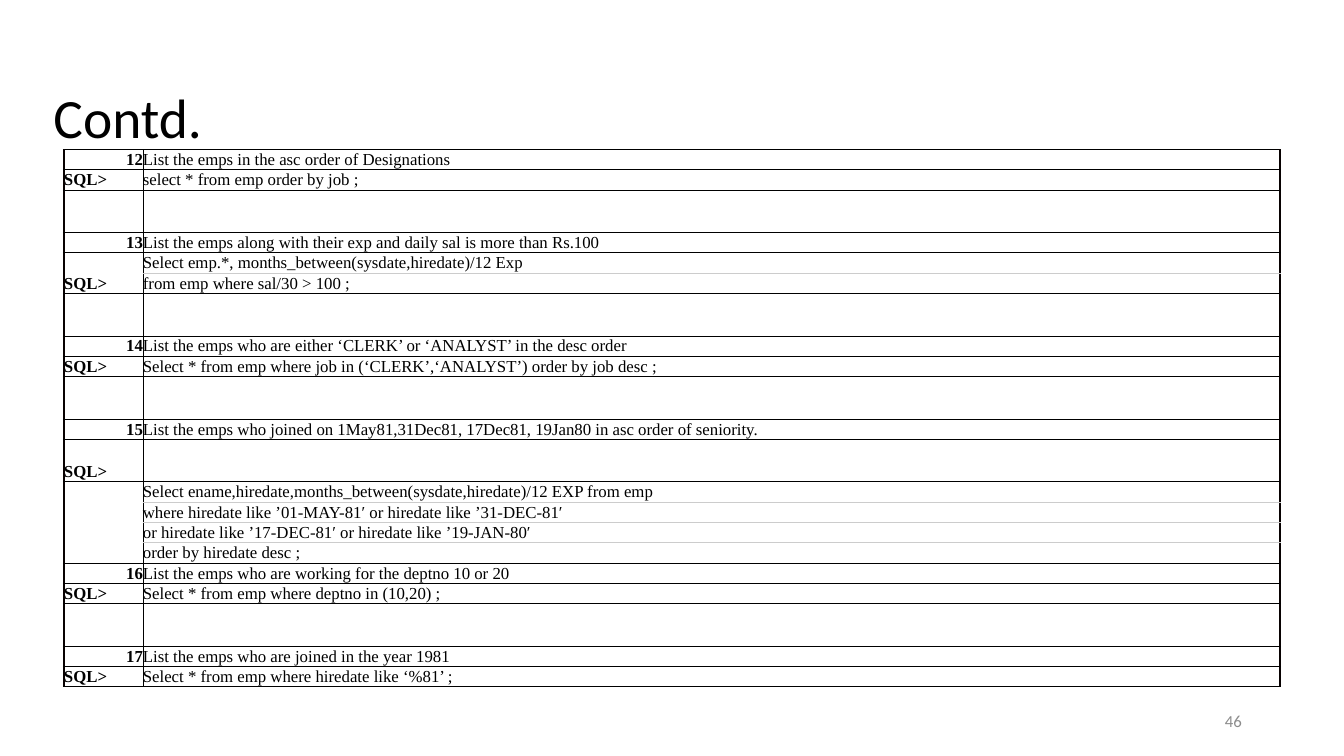
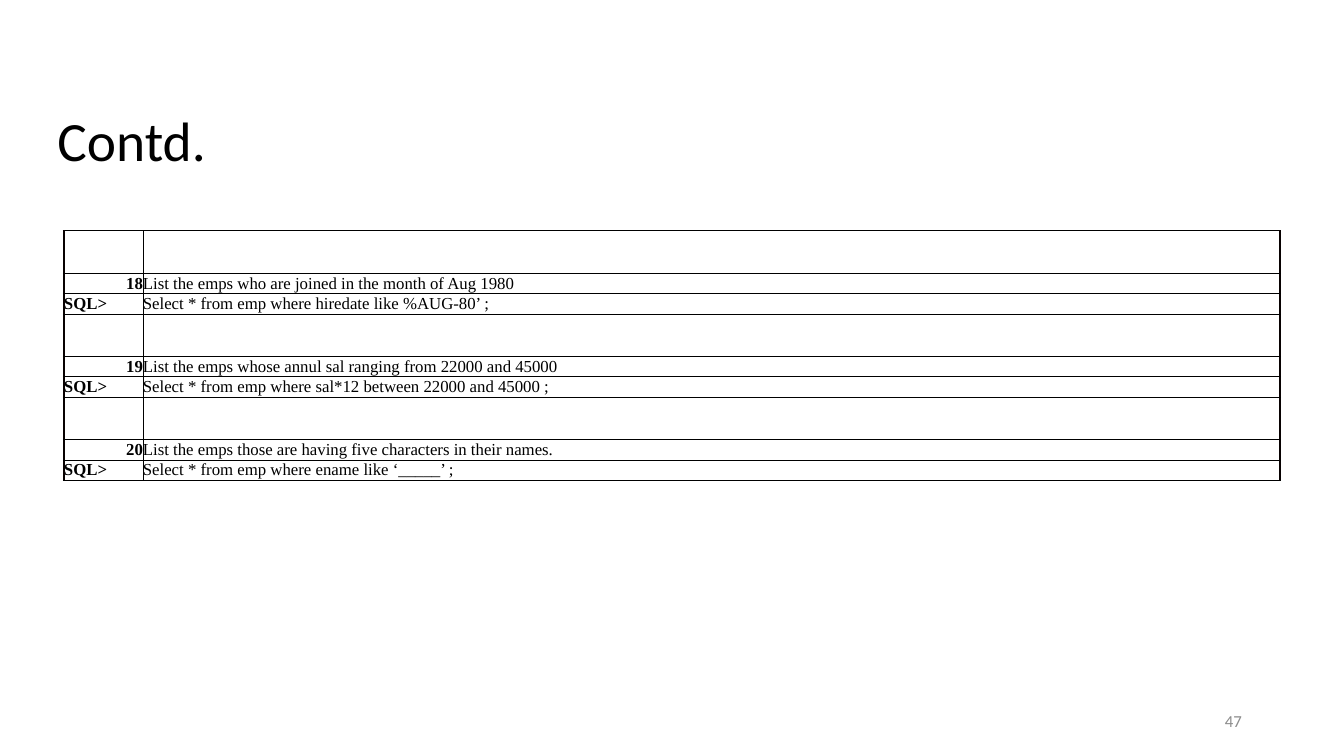
from dataclasses import dataclass

from lxml.etree import SubElement
from pptx import Presentation
from pptx.dml.color import RGBColor as RGB
from pptx.enum.text import MSO_ANCHOR as ANCHOR, MSO_AUTO_SIZE as AUTO, PP_ALIGN as ALIGN
from pptx.oxml.ns import qn
from pptx.util import Pt


@dataclass(frozen=True)
class Theme:
    ink: str = "000000"
    edge: str = "080101"
    faint: str = "CCCCCC"
    muted: str = "8C8C8C"
    heading: str = "Calibri"
    body: str = "Times New Roman"
    title_size: float = 39.6
    text_size: float = 12
    thin: float = 0.6
    thick: float = 1.8
    line_row: float = 14.5
    gap_row: float = 30.4


T = Theme()
TITLE_ONLY = 5
LABEL_W, TEXT_W = 56.4, 812.2
NUMBER_BOX = (678.2, 500.4, 216, 28.8)

# Each block is a label and the lines beside it; GAP is an empty spacer row
GAP = ("", [""])
SLIDES = [
    {"title_box": (31, 61.2, 828, 49.7), "table_at": (45.7, 106.7), "number": 46, "blocks": [
        ("12", ["List the emps in the asc order of Designations"]),
        ("SQL>", ["select * from emp order by job ;"]),
        GAP,
        ("13", ["List the emps along with their exp and daily sal is more than Rs.100"]),
        ("SQL>", ["Select emp.*, months_between(sysdate,hiredate)/12 Exp",
                  "from emp where sal/30 > 100 ;"]),
        GAP,
        ("14", ["List the emps who are either ‘CLERK’ or ‘ANALYST’ in the desc order"]),
        ("SQL>", ["Select * from emp where job in (‘CLERK’,‘ANALYST’) order by job desc ;"]),
        GAP,
        ("15", ["List the emps who joined on 1May81,31Dec81, 17Dec81, 19Jan80 "
                "in asc order of seniority."]),
        ("SQL>", [""]),
        ("", ["Select ename,hiredate,months_between(sysdate,hiredate)/12 EXP from emp",
              "where hiredate like ’01-MAY-81′ or hiredate like ’31-DEC-81′",
              "or hiredate like ’17-DEC-81′ or hiredate like ’19-JAN-80′",
              "order by hiredate desc ;"]),
        ("16", ["List the emps who are working for the deptno 10 or 20"]),
        ("SQL>", ["Select * from emp where deptno in (10,20) ;"]),
        GAP,
        ("17", ["List the emps who are joined in the year 1981"]),
        ("SQL>", ["Select * from emp where hiredate like ‘%81’ ;"]),
    ]},
    {"title_box": (33.8, 77.8, 828, 49.7), "table_at": (45.7, 164.9), "number": 47, "blocks": [
        GAP,
        ("18", ["List the emps who are joined in the month of Aug 1980"]),
        ("SQL>", ["Select * from emp where hiredate like %AUG-80’ ;"]),
        GAP,
        ("19", ["List the emps whose annul sal ranging from 22000 and 45000"]),
        ("SQL>", ["Select * from emp where sal*12 between 22000 and 45000 ;"]),
        GAP,
        ("20", ["List the emps those are having five characters in their names."]),
        ("SQL>", ["Select * from emp where ename like ‘_____’ ;"]),
    ]},
]


def apply(obj, **values):
    for name, value in values.items():
        setattr(obj, name, value)


def write(tf, text, font, size, color, bold=False, **para):
    p = tf.paragraphs[0]
    apply(p, **para)
    r = p.add_run()
    r.text = text
    apply(r.font, name=font, size=Pt(size), bold=bold)
    r.font.color.rgb = RGB.from_string(color)


def set_borders(cell, **sides):
    """Draw the cell's sides, each given as (colour, width)."""
    tc_pr = cell._tc.get_or_add_tcPr()
    for i, side in enumerate("LRTB"):
        color, width = sides[side]
        ln = SubElement(tc_pr, qn(f"a:ln{side}"), w=str(Pt(width)))
        fill = SubElement(ln, qn("a:solidFill"))
        SubElement(fill, qn("a:srgbClr"), val=color)
        tc_pr.insert(i, ln)


def fill_cell(cell, text, **fmt):
    cell.fill.background()
    if text:
        apply(cell, vertical_anchor=ANCHOR.BOTTOM, margin_left=0, margin_right=0,
              margin_top=Pt(0.35), margin_bottom=Pt(0.35))
        write(cell.text_frame, text, T.body, T.text_size, T.ink, **fmt)


def add_title(s, box):
    sp = s.shapes.title
    apply(sp, **dict(zip(("left", "top", "width", "height"), map(Pt, box))))
    apply(sp.text_frame, vertical_anchor=ANCHOR.MIDDLE, auto_size=AUTO.NONE)
    write(sp.text_frame, "Contd.", T.heading, T.title_size, T.ink,
          alignment=ALIGN.LEFT, line_spacing=0.9)


def add_queries(s, at, blocks):
    heights = [T.line_row if line else T.gap_row for _, lines in blocks for line in lines]
    frame = s.shapes.add_table(len(heights), 2, *map(Pt, (*at, LABEL_W + TEXT_W, sum(heights))))
    table = frame.table
    apply(table, first_row=False, horz_banding=False)
    for col, width in zip(table.columns, (LABEL_W, TEXT_W)):
        col.width = Pt(width)
    for row, height in zip(table.rows, heights):
        row.height = Pt(height)

    thin, thick, faint = (T.ink, T.thin), (T.edge, T.thick), (T.faint, T.thin)
    top = 0
    for label, lines in blocks:
        last = len(lines) - 1
        # Label, spanning all lines of its block
        head = table.cell(top, 0)
        if last:
            head.merge(table.cell(top + last, 0))
        fill_cell(head, label, bold=True,
                  alignment=ALIGN.RIGHT if label.isdigit() else ALIGN.LEFT)
        # Lines, with faint rules inside the block
        for i, line in enumerate(lines):
            set_borders(table.cell(top + i, 0), L=thick, R=thin, T=thin, B=thin)
            cell = table.cell(top + i, 1)
            fill_cell(cell, line)
            set_borders(cell, L=thin, R=thick, T=faint if i else thin,
                        B=faint if i < last else thin)
        top += len(lines)


def add_number(s, box, number):
    tf = s.shapes.add_textbox(*map(Pt, box)).text_frame
    apply(tf, word_wrap=True, vertical_anchor=ANCHOR.MIDDLE)
    write(tf, str(number), T.heading, T.text_size, T.muted, alignment=ALIGN.RIGHT)


def add_query_slide(prs, title_box, table_at, number, blocks):
    s = prs.slides.add_slide(prs.slide_layouts[TITLE_ONLY])
    add_title(s, title_box)
    add_queries(s, table_at, blocks)
    add_number(s, NUMBER_BOX, number)


def main():
    prs = Presentation()
    apply(prs, slide_width=Pt(960), slide_height=Pt(540))
    for content in SLIDES:
        add_query_slide(prs, **content)
    prs.save("out.pptx")


if __name__ == "__main__":
    main()
